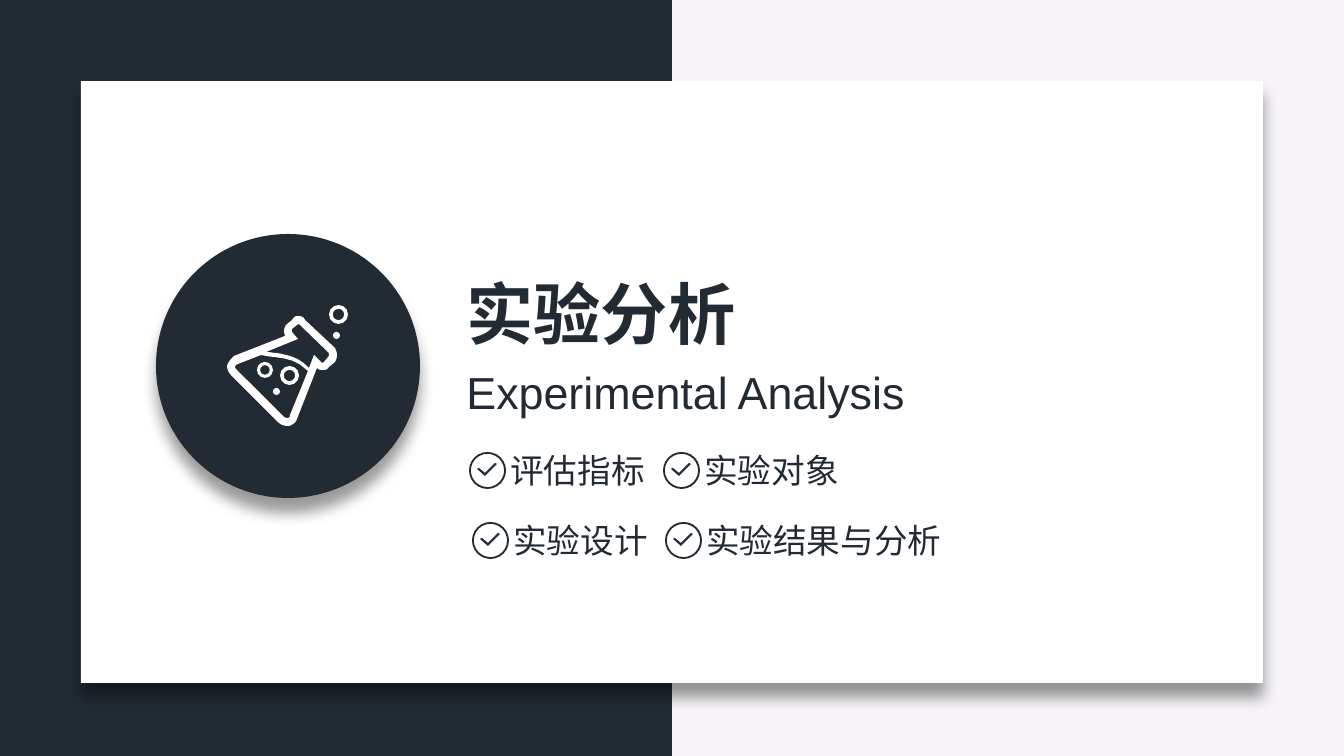
"""Build the section slide for the experimental analysis chapter."""
from dataclasses import dataclass

from lxml import etree
from pptx import Presentation
from pptx.dml.color import RGBColor
from pptx.enum.shapes import MSO_SHAPE
from pptx.enum.text import MSO_ANCHOR, MSO_AUTO_SIZE, PP_ALIGN
from pptx.oxml.ns import qn
from pptx.util import Emu, Pt

RECTANGLE, OVAL, DONUT = MSO_SHAPE.RECTANGLE, MSO_SHAPE.OVAL, MSO_SHAPE.DONUT
LEFT, TOP = PP_ALIGN.LEFT, MSO_ANCHOR.TOP
FIT_SHAPE = MSO_AUTO_SIZE.SHAPE_TO_FIT_TEXT
SCALE = 914400 / 134.4


@dataclass(frozen=True)
class Theme:
    dark: str = "222B34"
    light: str = "F6F4F7"
    white: str = "FFFFFF"
    shadow: str = "000000"
    latin: str = "Arial"
    chinese: str = "Noto Sans CJK SC"
    title_size: int = 36
    subtitle_size: int = 24
    topic_size: int = 18


THEME = Theme()
WIDTH, HEIGHT = 1344, 756
CARD = (81, 81, 1182, 602)
BADGE = (156, 234, 264, 264)
TITLE = ("实验分析", (453, 266, 298, 95))
SUBTITLE = ("Experimental Analysis", (453, 358, 470, 67))
TOPICS = [
    ("评估指标", 469, 452, 163),
    ("实验对象", 663, 452, 163),
    ("实验结果与分析", 665, 522, 265),
    ("实验设计", 472, 522, 163),
]
RING_SIZE = 37
TICK = [(8, 17), (10, 16), (16, 21), (26, 11), (28, 12), (16, 24)]
BUBBLES = [(280, 366, 19), (329, 305, 19), (257, 362, 16)]
DROPS = [(273, 388, 7), (333, 332, 7)]
FLASK = [
    [(305, 320), (304, 317, 301, 316, 298, 316), (295, 316, 294, 317, 292, 320),
     (286, 325), (285, 327, 284, 329, 284, 331), (284, 333, 285, 335, 285, 336),
     (234, 356), (231, 359, 228, 362, 227, 366), (227, 368, 228, 372, 231, 375),
     (278, 422), (281, 425, 284, 426, 289, 426), (293, 425, 296, 422, 297, 419),
     (317, 368), (319, 370, 320, 370, 323, 370), (325, 370, 327, 370, 329, 367),
     (335, 362), (336, 360, 337, 358, 337, 355), (337, 352, 336, 351, 335, 348)],
    [(290, 415), (290, 417, 289, 418, 288, 418), (287, 418, 286, 418, 284, 417),
     (237, 370), (235, 368, 235, 368, 235, 367), (235, 366, 237, 364, 238, 364),
     (261, 355), (277, 359, 292, 355, 308, 371)],
    [(329, 356), (324, 362), (323, 363, 321, 363, 321, 362), (314, 355),
     (309, 368), (298, 356, 286, 355, 277, 353), (273, 353, 270, 352, 266, 352),
     (298, 339), (292, 332), (292, 332, 292, 331, 292, 329), (297, 325),
     (298, 324, 300, 324, 300, 325), (329, 353)],
]


def px(*lengths):
    return [Emu(round(length * SCALE)) for length in lengths]


def paint(shape, color):
    shape.fill.solid()
    shape.fill.fore_color.rgb = RGBColor.from_string(color)
    shape.line.fill.background()
    shape.shadow.inherit = False
    return shape


def add_preset(shapes, kind, place, color):
    return paint(shapes.add_shape(kind, *px(*place)), color)


def add_ring(shapes, x, y, size, thickness, color):
    ring = add_preset(shapes, DONUT, (x, y, size, size), color)
    ring.adjustments[0] = thickness


def add_shadow(shape):
    effects = shape.element.spPr.find(qn("a:effectLst"))
    shadow = etree.SubElement(effects, qn("a:outerShdw"), blurRad=str(Pt(8)),
                              dist=str(Pt(8)), dir="5400000", algn="t", rotWithShape="0")
    color = etree.SubElement(shadow, qn("a:srgbClr"), val=THEME.shadow)
    etree.SubElement(color, qn("a:alpha"), val="40000")


def flatten(contour, steps=6):
    points = [contour[0]]
    for segment in contour[1:]:
        if len(segment) == 2:
            points.append(segment)
            continue
        start, first, second, end = points[-1], segment[:2], segment[2:4], segment[4:]
        for step in range(1, steps + 1):
            t = step / steps
            weights = ((1 - t) ** 3, 3 * t * (1 - t) ** 2, 3 * t * t * (1 - t), t ** 3)
            points.append(tuple(sum(w * v for w, v in zip(weights, values))
                                for values in zip(start, first, second, end)))
    return points


def add_outline(shapes, contours, color):
    builder = None
    for points in contours:
        points = [px(*point) for point in points]
        if builder is None:
            builder = shapes.build_freeform(*points[0], scale=1.0)
        else:
            builder.move_to(*points[0])
        builder.add_line_segments(points[1:], close=True)
    paint(builder.convert_to_shape(), color)


def write(box, text, place, font, size, bold=False):
    box.left, box.top, box.width, box.height = px(*place)
    frame = box.text_frame
    frame.word_wrap = False
    frame.auto_size = FIT_SHAPE
    frame.vertical_anchor = TOP
    para = frame.paragraphs[0]
    para.alignment = LEFT
    para.space_before = Pt(0)
    span = para.add_run()
    span.text = text
    span.font.name = font
    span.font.size = Pt(size)
    span.font.bold = bold
    span.font.color.rgb = RGBColor.from_string(THEME.dark)
    etree.SubElement(span.font._element, qn("a:ea"), typeface=font)


def add_topic(page, text, x, y, width):
    shapes = page.shapes.add_group_shape().shapes
    add_ring(shapes, x, y, RING_SIZE, 0.05, THEME.dark)
    add_outline(shapes, [[(x + dx, y + dy) for dx, dy in TICK]], THEME.dark)
    place = (x + 28, y - 9, width, 54)
    write(shapes.add_textbox(*px(*place)), text, place, THEME.chinese, THEME.topic_size)


def add_flask(page):
    shapes = page.shapes.add_group_shape().shapes
    add_outline(shapes, [flatten(contour) for contour in FLASK], THEME.white)
    for x, y, size in BUBBLES:
        add_ring(shapes, x, y, size, 0.2, THEME.white)
    for x, y, size in DROPS:
        add_preset(shapes, OVAL, (x, y, size, size), THEME.white)


def main():
    deck = Presentation()
    deck.slide_width, deck.slide_height = px(WIDTH, HEIGHT)
    page = deck.slides.add_slide(deck.slide_layouts[0])
    page.background.fill.solid()
    page.background.fill.fore_color.rgb = RGBColor.from_string(THEME.light)
    title, subtitle = page.placeholders

    add_preset(page.shapes, RECTANGLE, (0, 0, WIDTH // 2, HEIGHT), THEME.dark)
    add_shadow(add_preset(page.shapes, RECTANGLE, CARD, THEME.white))
    add_shadow(add_preset(page.shapes, OVAL, BADGE, THEME.dark))
    for box in (title, subtitle):
        box.element.getparent().append(box.element)
    write(title, *TITLE, THEME.chinese, THEME.title_size, bold=True)
    write(subtitle, *SUBTITLE, THEME.latin, THEME.subtitle_size)
    add_flask(page)
    for topic in TOPICS:
        add_topic(page, *topic)
    deck.save("out.pptx")


if __name__ == "__main__":
    main()
